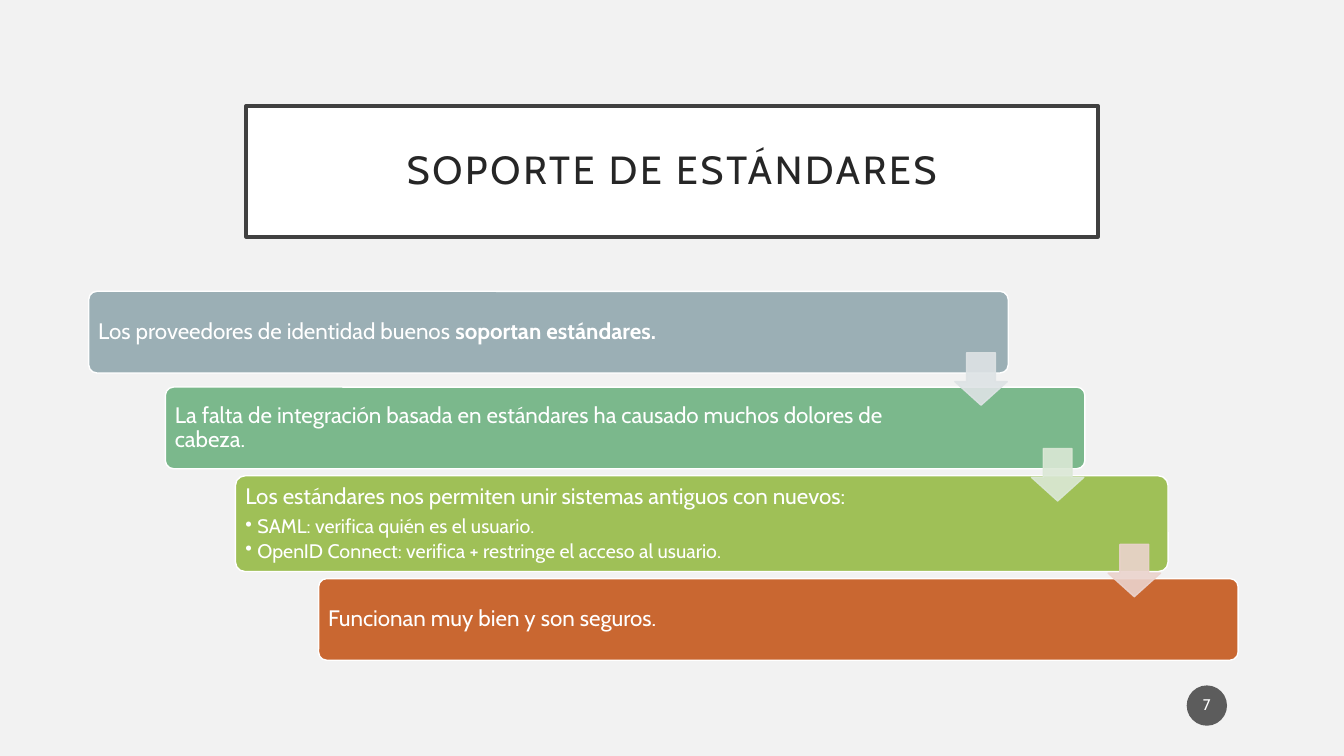
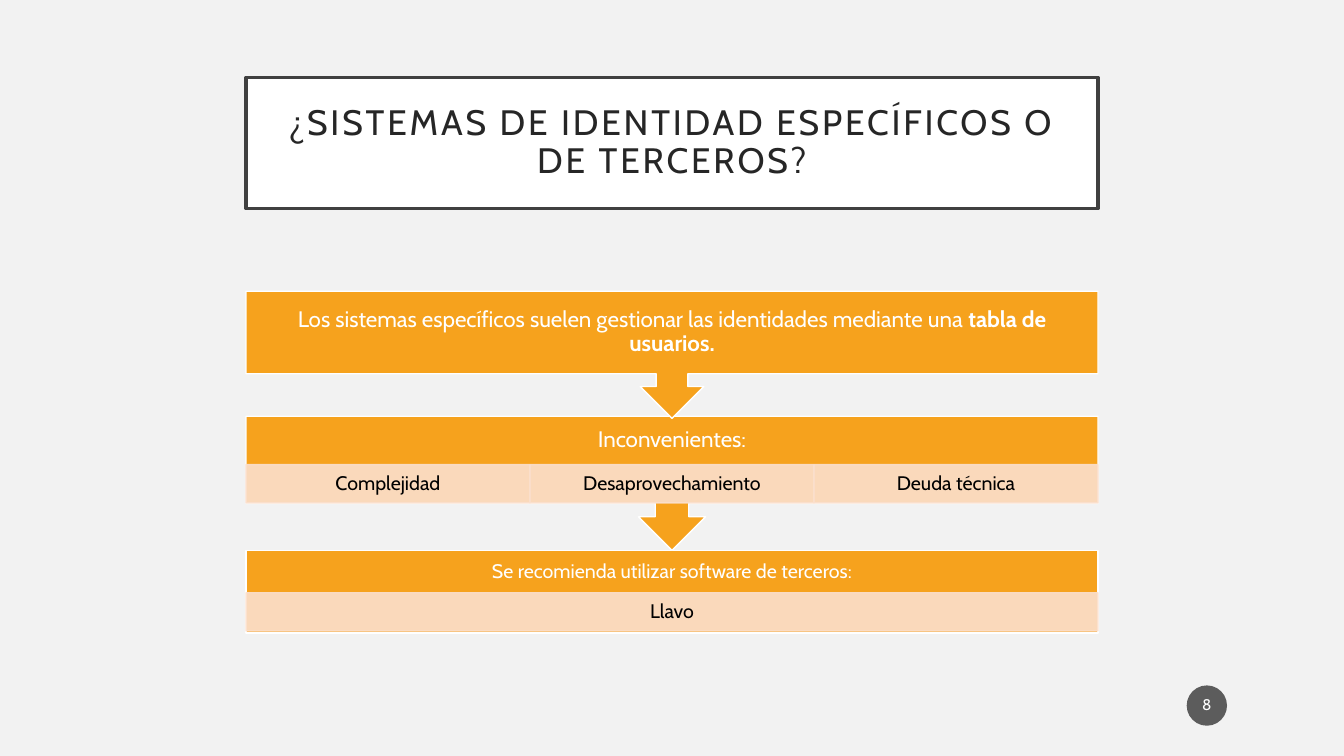
from dataclasses import dataclass

from lxml.etree import SubElement
from pptx import Presentation
from pptx.dml.color import RGBColor
from pptx.enum.shapes import MSO_SHAPE as SHAPE
from pptx.enum.text import MSO_ANCHOR as ANCHOR, MSO_AUTO_SIZE as AUTO, PP_ALIGN as ALIGN
from pptx.oxml.ns import qn
from pptx.util import Inches, Pt


# Theme: colours and type sizes
@dataclass(frozen=True)
class Theme:
    font: str = "Cabin"
    background: str = "F2F2F2"
    frame: str = "404040"
    ink: str = "262626"
    white: str = "FFFFFF"
    black: str = "000000"
    badge: str = "1D1D1D"
    orange: str = "F6A21D"
    peach: str = "FBE0CD"
    cards: tuple = ("9BAFB5", "7BB88C", "9FC057", "C96731")
    arrows: tuple = ("DEE3E5", "DBE8D6", "EBD3CD")
    title: float = 28
    long_title: float = 25.2
    body: float = 16
    detail: float = 14
    number: float = 11


T = Theme()
LEFT, WIDTH = 2.44, 8.45  # column shared by titles and flow blocks


def rgb(value):
    return RGBColor.from_string(value)


# Text helpers
def format_frame(tf, insets, anchor=ANCHOR.MIDDLE):
    left, top, right, bottom = (Inches(v) for v in insets)
    settings = {"word_wrap": True, "auto_size": AUTO.NONE, "vertical_anchor": anchor,
                "margin_left": left, "margin_top": top,
                "margin_right": right, "margin_bottom": bottom}
    for name, value in settings.items():
        setattr(tf, name, value)


def add_bullet(p):
    pPr = p._p.get_or_add_pPr()
    indent = Inches(0.12)
    pPr.set("marL", str(indent))
    pPr.set("indent", str(-indent))
    SubElement(pPr, qn("a:buChar")).set("char", "•")


def write_paragraph(p, runs, size, color, align=ALIGN.LEFT, after=0.35, bullet=False):
    """Runs is a list of (text, bold); after is a share of the type size."""
    settings = {"alignment": align, "line_spacing": 0.9,
                "space_before": Pt(0), "space_after": Pt(size * after)}
    for name, value in settings.items():
        setattr(p, name, value)
    if bullet:
        add_bullet(p)
    for text, bold in runs:
        r = p.add_run()
        r.text = text
        for name, value in {"name": T.font, "size": Pt(size), "bold": bold}.items():
            setattr(r.font, name, value)
        r.font.color.rgb = rgb(color)


# Shape helpers
def add_block(slide, kind, box, fill, line=None, opacity=None, adjustments=()):
    sp = slide.shapes.add_shape(kind, *(Inches(v) for v in box))
    sp.shadow.inherit = False
    for i, value in enumerate(adjustments):
        sp.adjustments[i] = value
    sp.fill.solid()
    sp.fill.fore_color.rgb = rgb(fill)
    if line:
        sp.line.color.rgb = rgb(line)
        sp.line.width = Pt(1)
    else:
        sp.line.fill.background()
    if opacity:
        for color in sp._element.spPr.iter(qn("a:srgbClr")):
            SubElement(color, qn("a:alpha")).set("val", str(opacity * 1000))
    return sp


def add_flow_block(slide, kind, top, height, runs, size, below=0.0):
    """Orange block; below is the height kept free under its text."""
    sp = add_block(slide, kind, (LEFT, top, WIDTH, height), T.orange, T.white)
    format_frame(sp.text_frame, (0.12, 0.02, 0.12, 0.02 + below))
    write_paragraph(sp.text_frame.paragraphs[0], runs, size, T.white, ALIGN.CENTER)


def add_strip(slide, top, labels):
    """Row of equal pale cells across the column."""
    width = WIDTH / len(labels)
    for i, label in enumerate(labels):
        sp = add_block(slide, SHAPE.RECTANGLE, (LEFT + i * width, top, width, 0.38),
                       T.peach, T.peach, opacity=90)
        format_frame(sp.text_frame, (0.11, 0.02, 0.11, 0.02))
        write_paragraph(sp.text_frame.paragraphs[0], [(label, False)],
                        T.detail, T.black, ALIGN.CENTER)


# Parts that every slide has
def add_slide(prs, title, number, top, size):
    slide = prs.slides.add_slide(prs.slide_layouts[5])
    sp = slide.shapes.title
    box = {"left": LEFT, "top": top, "width": WIDTH, "height": 1.3}
    for name, value in box.items():
        setattr(sp, name, Inches(value))
    sp.fill.solid()
    sp.fill.fore_color.rgb = rgb(T.white)
    sp.line.color.rgb = rgb(T.frame)
    sp.line.width = Pt(2.5)
    format_frame(sp.text_frame, (0.2,) * 4)
    p = sp.text_frame.paragraphs[0]
    write_paragraph(p, [(title, False)], size, T.ink, ALIGN.CENTER, after=0)
    p.runs[0].font._element.set("spc", "200")

    badge = add_block(slide, SHAPE.OVAL, (11.77, 6.8, 0.4, 0.4), T.badge, opacity=70)
    format_frame(badge.text_frame, (0.02, 0.05, 0.02, 0.05))
    write_paragraph(badge.text_frame.paragraphs[0], [(str(number), False)],
                    T.number, T.white, ALIGN.CENTER, after=0)
    return slide


# Staircase of cards joined by arrows
def add_staircase(slide, cards):
    step_x, step_y = 0.76, 0.95
    for i, (heading, bullets) in enumerate(cards):
        grow_x, grow_y = (0.13, 0.14) if bullets else (0, 0)
        box = (0.88 + i * step_x - grow_x / 2, 2.89 + i * step_y - grow_y / 2,
               9.12 + grow_x, 0.81 + grow_y)
        sp = add_block(slide, SHAPE.ROUNDED_RECTANGLE, box, T.cards[i], T.white,
                       adjustments=(0.1,))
        tf = sp.text_frame
        format_frame(tf, (0.07, 0.07, 1.36, 0.07))
        write_paragraph(tf.paragraphs[0], heading, T.body, T.white)
        for bullet in bullets:
            write_paragraph(tf.add_paragraph(), [(bullet, False)], T.detail, T.white,
                            after=0.15, bullet=True)
    for i, color in enumerate(T.arrows):
        box = (9.47 + i * step_x, 3.5 + i * step_y, 0.52, 0.52)
        add_block(slide, SHAPE.DOWN_ARROW, box, color, color, opacity=90,
                  adjustments=(0.55, 0.45))


def build_standards(prs):
    slide = add_slide(prs, "SOPORTE DE ESTÁNDARES", 7, 1.05, T.title)
    add_staircase(slide, [
        ([("Los proveedores de identidad buenos ", False),
          ("soportan estándares.", True)], []),
        ([("La falta de integración basada en estándares ha causado muchos "
           "dolores de cabeza.", False)], []),
        ([("Los estándares nos permiten unir sistemas antiguos con nuevos:", False)],
         ["SAML: verifica quién es el usuario.",
          "OpenID Connect: verifica + restringe el acceso al usuario."]),
        ([("Funcionan muy bien y son seguros.", False)], []),
    ])


def build_identity_systems(prs):
    slide = add_slide(prs, "¿SISTEMAS DE IDENTIDAD ESPECÍFICOS O DE TERCEROS?",
                      8, 0.77, T.long_title)
    # Blocks go from the bottom up so that each arrow lies over the next block
    add_flow_block(slide, SHAPE.RECTANGLE, 5.46, 0.82,
                   [("Se recomienda utilizar software de terceros:", False)],
                   T.detail, below=0.38)
    add_strip(slide, 5.88, ["Llavo"])
    add_flow_block(slide, SHAPE.DOWN_ARROW_CALLOUT, 4.13, 1.33,
                   [("Inconvenientes:", False)], T.body, below=0.39)
    add_strip(slide, 4.61, ["Complejidad", "Desaprovechamiento", "Deuda técnica"])
    add_flow_block(slide, SHAPE.DOWN_ARROW_CALLOUT, 2.89, 1.26,
                   [("Los sistemas específicos suelen gestionar las identidades "
                     "mediante una ", False), ("tabla de usuarios.", True)], T.body)


def main():
    prs = Presentation()
    prs.slide_width, prs.slide_height = Inches(13.33), Inches(7.5)
    background = prs.slide_master.background.fill
    background.solid()
    background.fore_color.rgb = rgb(T.background)
    build_standards(prs)
    build_identity_systems(prs)
    prs.save("out.pptx")


if __name__ == "__main__":
    main()
